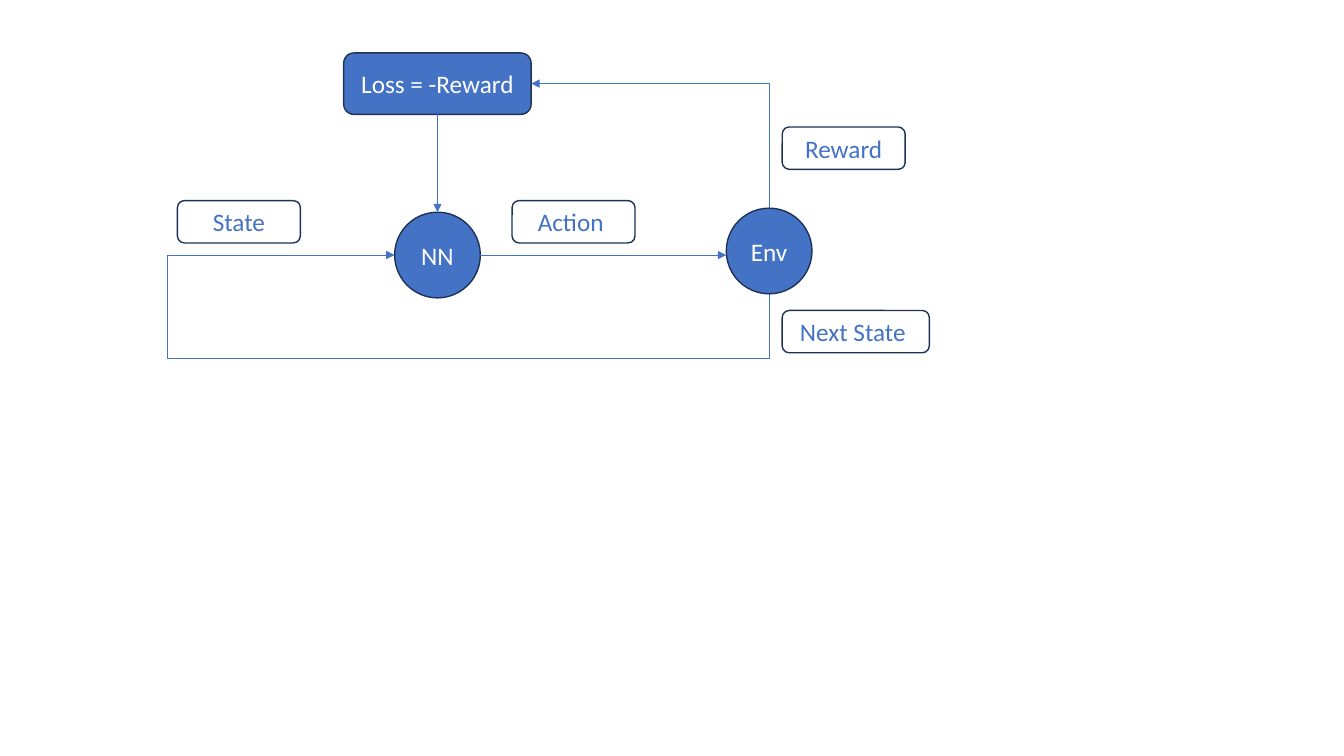
from lxml.etree import SubElement
from pptx import Presentation
from pptx.dml.color import RGBColor
from pptx.enum.shapes import MSO_CONNECTOR as Link, MSO_SHAPE as Shape
from pptx.enum.text import MSO_ANCHOR as Anchor, PP_ALIGN as Align
from pptx.oxml.ns import qn
from pptx.util import Inches, Pt

COLORS = {"blue": "4472C4", "navy": "1E3256", "white": "FFFFFF"}

# Grid of tenth-inch cells: every position is (column, row)
CELL = Inches(0.1)
COLUMNS, ROWS = 133.33, 75
NODE = 8.5
LABEL_W, LABEL_H = 12.2, 4.2
LOSS_W, LOSS_H = 18.6, 6.1

NN_X, NN_Y = 43.4, 25.3  # node centres
ENV_X, ENV_Y = 76.3, 24.9
LOSS_Y = 8.3
LABEL_ROW = 19.9
LABEL_COLUMN = 77.6
LOOP_LEFT, LOOP_BOTTOM = 16.6, 35.6


def cells(count):
    return round(count * CELL)


def color(name):
    return RGBColor.from_string(COLORS[name])


def add_box(page, kind, text, left, top, width, height, filled=True):
    box = page.shapes.add_shape(kind, *map(cells, (left, top, width, height)))
    box.shadow.inherit = False
    if filled:
        box.fill.solid()
        box.fill.fore_color.rgb = color("blue")
    else:
        box.fill.background()
    box.line.color.rgb = color("navy")
    box.line.width = Pt(1)
    frame = box.text_frame
    frame.word_wrap = True
    frame.vertical_anchor = Anchor.MIDDLE
    para = frame.paragraphs[0]
    para.text = text
    para.alignment = Align.CENTER
    para.font.name = "Calibri"
    para.font.size = Pt(18)
    para.font.color.rgb = color("white" if filled else "blue")


def add_node(page, text, x, y):
    add_box(page, Shape.OVAL, text, x - NODE / 2, y - NODE / 2, NODE, NODE)


def add_label(page, text, left, top, width=LABEL_W):
    add_box(page, Shape.ROUNDED_RECTANGLE, text, left, top, width, LABEL_H, filled=False)


def add_arrow(page, start, end, kind=Link.STRAIGHT):
    arrow = page.shapes.add_connector(kind, *map(cells, (*start, *end)))
    arrow.line.color.rgb = color("blue")
    arrow.line.width = Pt(0.5)
    SubElement(arrow.line._get_or_add_ln(), qn("a:tailEnd"), type="triangle")
    SubElement(arrow._element.spPr, qn("a:effectLst"))
    return arrow


def add_elbow(page, start, end, preset, turn, bends=()):
    """Lay the elbow out unturned about its centre, then turn it by 90 or 270 degrees."""
    middle_x, middle_y = (start[0] + end[0]) / 2, (start[1] + end[1]) / 2
    sign = 1 if turn == 90 else -1
    dx = sign * (start[1] - middle_y)
    dy = -sign * (start[0] - middle_x)
    arrow = add_arrow(page, (middle_x + dx, middle_y + dy),
                      (middle_x - dx, middle_y - dy), Link.ELBOW)
    properties = arrow._element.spPr
    properties.find(qn("a:xfrm")).set("rot", str(turn * 60000))
    geometry = properties.find(qn("a:prstGeom"))
    geometry.set("prst", preset)
    guides = geometry.find(qn("a:avLst"))
    for number, share in enumerate(bends, 1):
        SubElement(guides, qn("a:gd"), name=f"adj{number}", fmla=f"val {round(share * 100000)}")


def main():
    deck = Presentation()
    deck.slide_width, deck.slide_height = cells(COLUMNS), cells(ROWS)
    page = deck.slides.add_slide(deck.slide_layouts[6])
    radius = NODE / 2

    # Network, its action and the state loop
    add_node(page, "NN", NN_X, NN_Y)
    nn_left = (NN_X - radius, NN_Y)
    env_bottom = (ENV_X, ENV_Y + radius)
    add_arrow(page, (NN_X + radius, NN_Y), (ENV_X - radius, NN_Y))
    drop = (LOOP_BOTTOM - env_bottom[1]) / (nn_left[1] - env_bottom[1])
    reach = (env_bottom[0] - LOOP_LEFT) / (env_bottom[0] - nn_left[0])
    add_elbow(page, env_bottom, nn_left, "bentConnector4", 90, (drop, reach))

    # Signal labels
    add_label(page, "State", 17.6, LABEL_ROW)
    add_label(page, "Action ", 50.8, LABEL_ROW)
    add_label(page, "Next State ", LABEL_COLUMN, 30.8, 14.6)
    add_label(page, "Reward", LABEL_COLUMN, 12.6)

    # Loss and environment
    add_box(page, Shape.ROUNDED_RECTANGLE, "Loss = -Reward",
            NN_X - LOSS_W / 2, LOSS_Y - LOSS_H / 2, LOSS_W, LOSS_H)
    add_node(page, "Env", ENV_X, ENV_Y)
    add_elbow(page, (ENV_X, ENV_Y - radius), (NN_X + LOSS_W / 2, LOSS_Y), "bentConnector2", 270)
    add_arrow(page, (NN_X, LOSS_Y + LOSS_H / 2), (NN_X, NN_Y - radius))

    deck.save("out.pptx")


if __name__ == "__main__":
    main()
